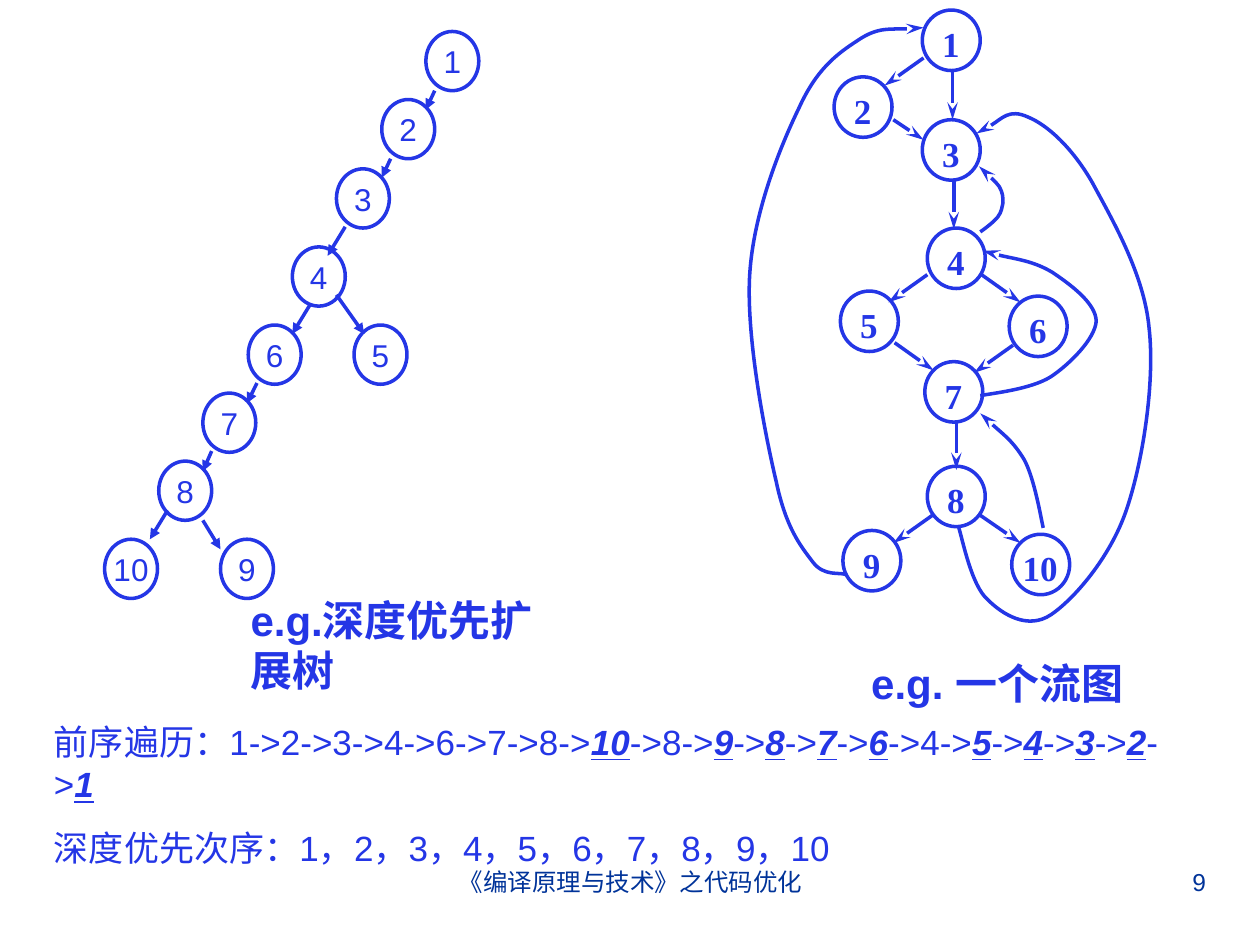
from lxml import etree
from pptx import Presentation
from pptx.dml.color import RGBColor
from pptx.enum import shapes, text
from pptx.oxml import ns
from pptx.util import Inches, Pt

BLUE = RGBColor(0x24, 0x36, 0xE6)
NAVY = RGBColor(0x00, 0x33, 0x99)
LEFT, CENTER = text.PP_ALIGN.LEFT, text.PP_ALIGN.CENTER
RIGHT, JUSTIFY = text.PP_ALIGN.RIGHT, text.PP_ALIGN.JUSTIFY


def draw_line(shape, head=None):
    """Blue 2 pt line without shadow, with an arrowhead at its end if wanted."""
    shape.line.color.rgb = BLUE
    shape.line.width = Pt(2)
    if head:
        length = "lg" if head == "stealth" else "med"
        etree.SubElement(shape.line._get_or_add_ln(), ns.qn("a:tailEnd"),
                         type=head, w="med", len=length)
    if shape._element.spPr.find(ns.qn("a:effectLst")) is None:
        etree.SubElement(shape._element.spPr, ns.qn("a:effectLst"))


def write(shape, words, size, align, font="Arial", color=BLUE, bold=False, before=0):
    """One paragraph per line; words between asterisks are emphasised."""
    frame = shape.text_frame
    frame.word_wrap = True
    for number, line in enumerate(words.split("\n")):
        para = frame.paragraphs[0] if number == 0 else frame.add_paragraph()
        para.alignment = align
        para.space_before = Pt(before)
        for index, part in enumerate(line.split("*")):
            if not part:
                continue
            span = para.add_run()
            span.text = part
            span.font.size = Pt(size)
            span.font.name = font
            span.font.color.rgb = color
            span.font.bold = bold or index % 2 == 1
            if index % 2:
                span.font.italic = span.font.underline = True


deck = Presentation()
deck.slide_width, deck.slide_height = Inches(10), Inches(7.5)
page = deck.slides.add_slide(deck.slide_layouts[6])

# Nodes of the flow graph and of the depth-first tree: label, left, top
graph_nodes = [
    (1, 7.32, 0.08), (2, 6.62, 0.61), (3, 7.32, 0.95), (4, 7.36, 1.81), (5, 6.67, 2.31),
    (6, 8.01, 2.35), (7, 7.34, 2.87), (8, 7.36, 3.7), (9, 6.69, 4.21), (10, 8.03, 4.24),
]
tree_nodes = [
    (1, 3.38, 0.25), (2, 3.03, 0.79), (3, 2.67, 1.34), (4, 2.32, 1.96), (6, 1.97, 2.58),
    (7, 1.61, 3.12), (8, 1.26, 3.66), (10, 0.83, 4.28), (9, 1.75, 4.28), (5, 2.81, 2.58),
]
for nodes, width, height in ((graph_nodes, 0.46, 0.48), (tree_nodes, 0.42, 0.47)):
    for label, left, top in nodes:
        node = page.shapes.add_shape(shapes.MSO_SHAPE.OVAL, Inches(left), Inches(top),
                                     Inches(width), Inches(height))
        node.shadow.inherit = False
        node.fill.background()
        draw_line(node)
        frame = node.text_frame
        if nodes is graph_nodes:
            write(node, str(label), 20, JUSTIFY, "Times New Roman", bold=True)
            frame.vertical_anchor = text.MSO_ANCHOR.TOP
            frame.margin_left = frame.margin_right = Inches(0.02 if label == 10 else 0.09)
            frame.margin_top = Inches(0.03)
        else:
            write(node, str(label), 18, CENTER)
            frame.vertical_anchor = text.MSO_ANCHOR.MIDDLE
            frame.word_wrap = False

# Straight edges: from x, y to x, y
graph_edges = [
    (7.33, 0.46, 7.02, 0.68), (7.56, 0.56, 7.56, 0.95), (7.09, 0.95, 7.33, 1.11),
    (7.57, 1.43, 7.57, 1.82), (7.36, 2.18, 7.05, 2.4), (7.79, 2.18, 8.1, 2.4),
    (7.1, 2.72, 7.41, 2.94), (8.04, 2.74, 7.73, 2.96), (7.59, 3.35, 7.59, 3.73),
    (7.78, 4.09, 8.1, 4.31), (7.4, 4.09, 7.09, 4.31),
]
tree_edges = [
    (3.45, 0.72, 3.38, 0.87), (3.1, 1.26, 3.03, 1.41), (2.74, 1.8, 2.6, 2.03),
    (2.46, 2.42, 2.32, 2.65), (1.68, 3.58, 1.61, 3.74), (2.04, 3.04, 1.96, 3.2),
    (1.33, 4.05, 1.19, 4.28), (1.61, 4.13, 1.75, 4.36), (2.67, 2.34, 2.89, 2.65),
]
for edges, head in ((graph_edges, "stealth"), (tree_edges, "triangle")):
    for edge in edges:
        arrow = page.shapes.add_connector(shapes.MSO_CONNECTOR.STRAIGHT,
                                          *[Inches(value) for value in edge])
        draw_line(arrow, head)

# Curved back edges: a start point, then three Bezier points per segment
back_edges = [
    # 7 to 4
    [(7.78, 3.14), (7.88, 3.12), (8.18, 3.09), (8.34, 2.99), (8.49, 2.89), (8.69, 2.69),
     (8.7, 2.55), (8.7, 2.41), (8.5, 2.26), (8.35, 2.16), (8.2, 2.07), (7.91, 2.03),
     (7.8, 1.99)],
    # 9 to 1
    [(6.71, 4.56), (6.67, 4.54), (6.54, 4.58), (6.45, 4.46), (6.36, 4.34), (6.24, 4.2),
     (6.16, 3.82), (6.07, 3.44), (5.92, 2.67), (5.95, 2.18), (5.98, 1.69), (6.19, 1.17),
     (6.34, 0.86), (6.48, 0.55), (6.64, 0.43), (6.81, 0.32), (6.97, 0.21), (7.22, 0.24),
     (7.33, 0.22)],
    # 8 to 3
    [(7.61, 4.19), (7.64, 4.28), (7.71, 4.65), (7.84, 4.76), (7.96, 4.88), (8.16, 5),
     (8.34, 4.88), (8.52, 4.76), (8.81, 4.43), (8.94, 4.05), (9.07, 3.67), (9.17, 3.03),
     (9.12, 2.6), (9.08, 2.17), (8.82, 1.73), (8.67, 1.45), (8.51, 1.17), (8.31, 0.99),
     (8.16, 0.93), (8.01, 0.86), (7.84, 1.03), (7.75, 1.06)],
    # 4 to 3
    [(7.78, 1.84), (7.81, 1.82), (7.89, 1.76), (7.92, 1.72), (7.95, 1.68), (7.95, 1.65),
     (7.96, 1.61), (7.96, 1.57), (7.96, 1.53), (7.93, 1.48), (7.89, 1.43), (7.8, 1.35),
     (7.77, 1.32)],
    # 10 to 7
    [(8.28, 4.19), (8.26, 4.1), (8.21, 3.8), (8.13, 3.65), (8.04, 3.5), (7.86, 3.36),
     (7.78, 3.28)],
]
for points in back_edges:
    start, *rest = [(Inches(x), Inches(y)) for x, y in points]
    builder = page.shapes.build_freeform(*start)
    builder.add_line_segments(rest, close=False)
    curve = builder.convert_to_shape()
    curve.shadow.inherit = False
    curve.fill.background()
    draw_line(curve, "stealth")
    # Join each three line segments into one Bezier segment
    segments = list(curve._element.iter(ns.qn("a:lnTo")))
    outline = segments[0].getparent()
    for first in range(0, len(segments), 3):
        bezier = etree.SubElement(outline, ns.qn("a:cubicBezTo"))
        for segment in segments[first:first + 3]:
            bezier.append(segment[0])
            outline.remove(segment)

# Captions, traversal orders, footer and page number
traversal = ("前序遍历：1->2->3->4->6->7->8->*10*->8->*9*->*8*->*7*->*6*->4->*5*->*4*->*3*->*2*->*1*\n"
             "深度优先次序：1，2，3，4，5，6，7，8，9，10")
texts = [
    ((6.08, 5.17, 3.67, 0.5), "e.g. 一个流图", 24, CENTER, BLUE, True, 15),
    ((1.89, 4.67, 2.69, 0.9), "e.g.深度优先扩展树", 24, LEFT, BLUE, True, 15),
    ((0.33, 5.67, 9.25, 1.28), traversal, 20, LEFT, BLUE, False, 12.5),
    ((3.42, 6.83, 3.17, 0.52), "《编译原理与技术》之代码优化", 14, CENTER, NAVY, False, 0),
    ((7.17, 6.83, 2.5, 0.52), "9", 14, RIGHT, NAVY, False, 0),
]
for place, words, size, align, color, bold, before in texts:
    box = page.shapes.add_textbox(*[Inches(value) for value in place])
    write(box, words, size, align, color=color, bold=bold, before=before)

deck.save("out.pptx")
